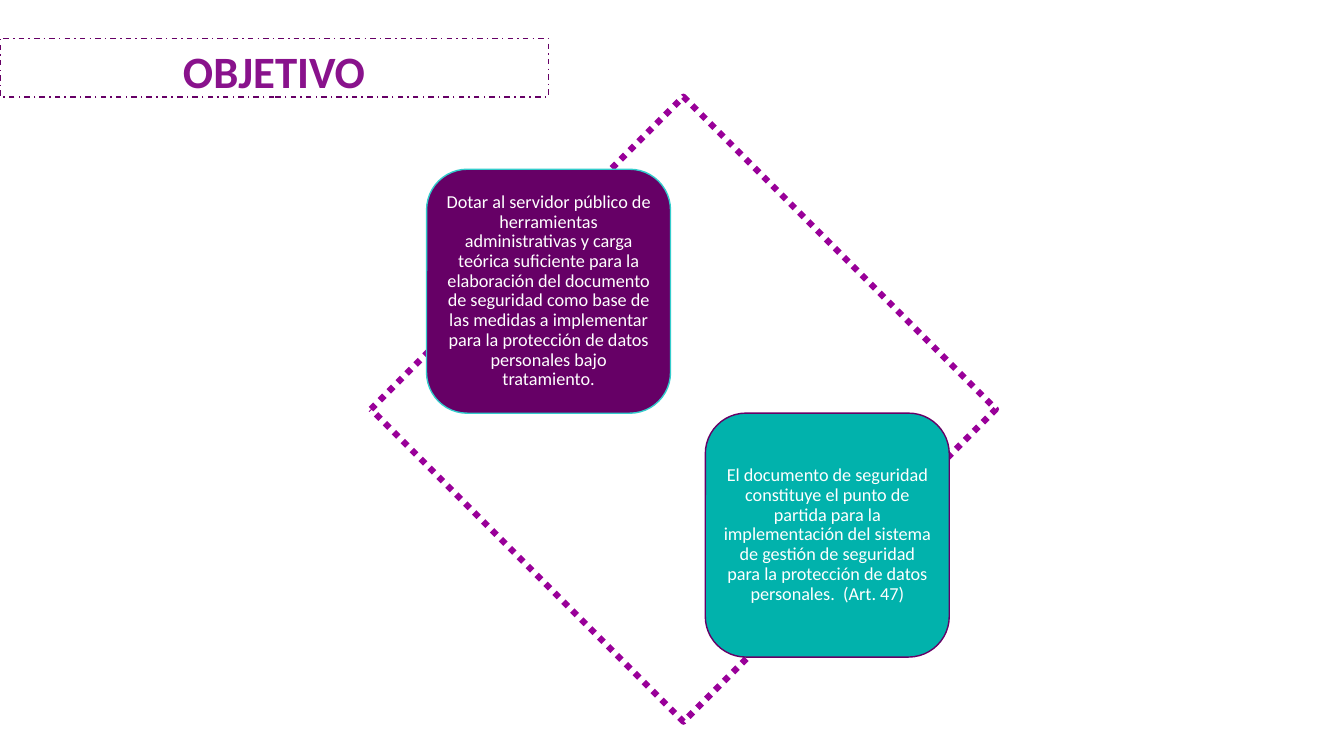
"""Build the OBJETIVO slide: a dotted diamond with two statement cards."""
from dataclasses import dataclass

from pptx import Presentation
from pptx.dml.color import RGBColor
from pptx.enum import dml, shapes, text
from pptx.util import Pt

FONT = "Calibri"
WHITE = RGBColor(0xFF, 0xFF, 0xFF)
PURPLE = RGBColor(0x66, 0x00, 0x66)
MAGENTA = RGBColor(0x99, 0x00, 0x99)
VIOLET = RGBColor(0x89, 0x12, 0x8C)
TEAL = RGBColor(0x01, 0xB2, 0xAC)
AQUA = RGBColor(0x33, 0xCC, 0xCC)
CARD_SIZE = 174.24
CARD_MARGIN = 3.7
DIAMOND_SIZE = 446.4


@dataclass
class Card:
    """A rounded square with a statement; lengths in points."""
    left: float
    top: float
    fill: RGBColor
    line: RGBColor
    statement: str


CARDS = [
    Card(304.7, 120.9, PURPLE, AQUA,
         "Dotar al servidor público de herramientas administrativas y carga "
         "teórica suficiente para la elaboración del documento de seguridad "
         "como base de las medidas a implementar para la protección de datos "
         "personales bajo tratamiento."),
    Card(503.8, 295.1, TEAL, PURPLE,
         "El documento de seguridad constituye el punto de partida para la "
         "implementación del sistema de gestión de seguridad para la "
         "protección de datos personales.  (Art. 47)"),
]


def set_line(sp, color: RGBColor, width: float, dash=None) -> None:
    """Outline a shape."""
    sp.line.color.rgb = color
    sp.line.width = Pt(width)
    if dash is not None:
        sp.line.dash_style = dash


def set_text(sp, words: str, size: float, color: RGBColor, bold: bool,
             spacing: float) -> None:
    """Put one centred paragraph in a shape."""
    tf = sp.text_frame
    tf.text = words
    tf.word_wrap = True
    tf.auto_size = text.MSO_AUTO_SIZE.NONE
    p = tf.paragraphs[0]
    p.alignment = text.PP_ALIGN.CENTER
    p.line_spacing = spacing
    font = p.runs[0].font
    font.name, font.size, font.bold = FONT, Pt(size), bold
    font.color.rgb = color


def add_title(s) -> None:
    """Place and format the title placeholder."""
    sp = s.shapes.title
    sp.left, sp.top, sp.width, sp.height = Pt(0), Pt(27.4), Pt(391.7), Pt(41.8)
    set_line(sp, PURPLE, 1, dml.MSO_LINE.DASH_DOT)
    set_text(sp, "OBJETIVO", 32, VIOLET, True, 1.0)
    sp.text_frame.vertical_anchor = text.MSO_ANCHOR.TOP


def add_diamond(s) -> None:
    """Draw the dotted diamond behind the cards."""
    sp = s.shapes.add_shape(shapes.MSO_SHAPE.DIAMOND, Pt(265), Pt(69.1),
                            Pt(DIAMOND_SIZE), Pt(DIAMOND_SIZE))
    sp.shadow.inherit = False
    sp.fill.background()
    set_line(sp, MAGENTA, 4.5, dml.MSO_LINE.ROUND_DOT)


def add_card(s, card: Card) -> None:
    """Draw one statement card."""
    sp = s.shapes.add_shape(shapes.MSO_SHAPE.ROUNDED_RECTANGLE, Pt(card.left),
                            Pt(card.top), Pt(CARD_SIZE), Pt(CARD_SIZE))
    sp.shadow.inherit = False
    sp.fill.solid()
    sp.fill.fore_color.rgb = card.fill
    set_line(sp, card.line, 1)
    set_text(sp, card.statement, 13, WHITE, False, 0.9)
    tf = sp.text_frame
    tf.vertical_anchor = text.MSO_ANCHOR.MIDDLE
    tf.margin_left = tf.margin_right = Pt(CARD_MARGIN)
    tf.margin_top = tf.margin_bottom = Pt(CARD_MARGIN)


def main() -> None:
    """Build and save the presentation."""
    prs = Presentation()
    prs.slide_width, prs.slide_height = Pt(960), Pt(540)
    s = prs.slides.add_slide(prs.slide_layouts.get_by_name("Title Only"))
    add_title(s)
    add_diamond(s)
    for card in CARDS:
        add_card(s, card)
    prs.save("out.pptx")


if __name__ == "__main__":
    main()
